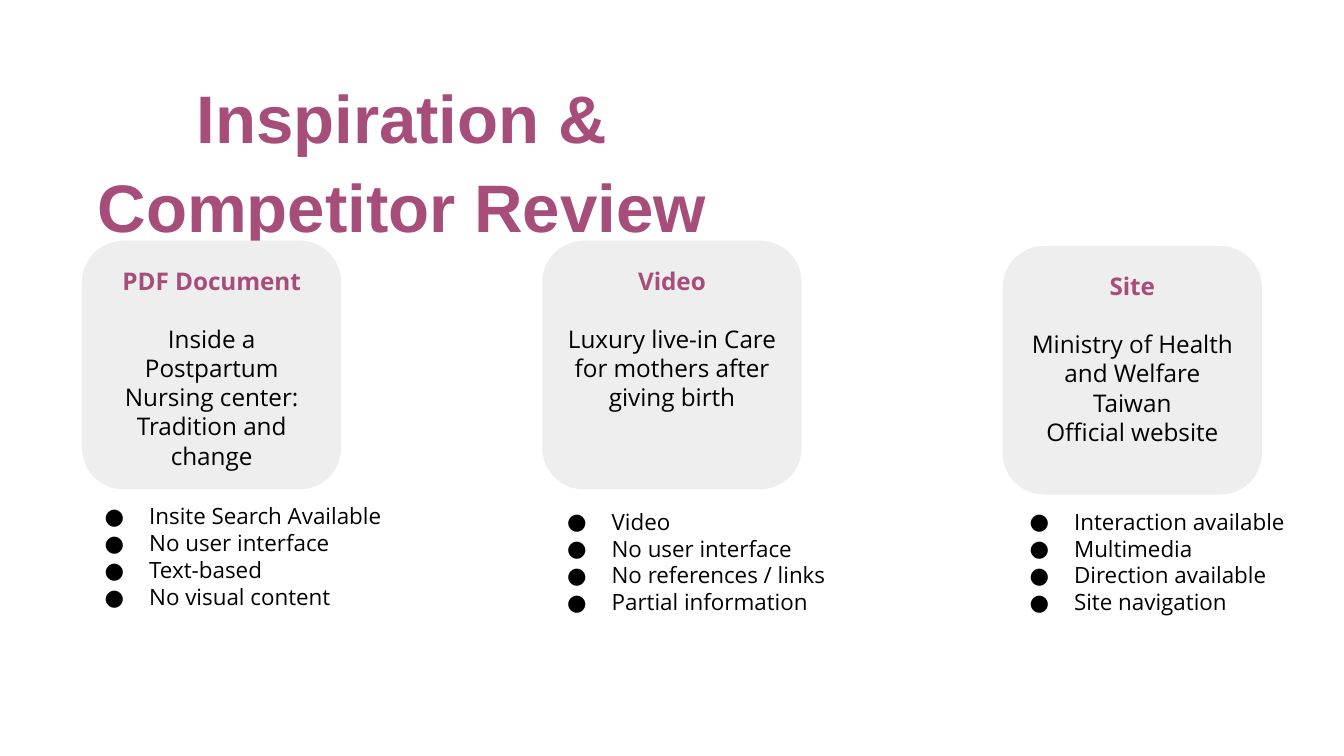
from lxml.etree import SubElement
from pptx import Presentation
from pptx.dml.color import RGBColor
from pptx.enum.shapes import MSO_SHAPE
from pptx.enum.text import MSO_ANCHOR, PP_ALIGN
from pptx.oxml.ns import qn
from pptx.util import Cm, Pt

PLUM, BLACK, PALE = "A64D79", "000000", "EEEEEE"
BODY_FONT = "Open Sans"

# Heading, description paragraphs, bullet points, card top, list top (cm)
COLUMNS = [
    ("PDF Document",
     ["Inside a Postpartum Nursing center: Tradition and change"],
     ["Insite Search Available", "No user interface", "Text-based", "No visual content"],
     4.55, 9.25),
    ("Video",
     ["Luxury live-in Care for mothers after giving birth"],
     ["Video", "No user interface", "No references / links", "Partial information"],
     4.55, 9.35),
    ("Site",
     ["Ministry of Health and Welfare Taiwan", "Official website"],
     ["Interaction available", "Multimedia", "Direction available", "Site navigation"],
     4.65, 9.35),
]
CARD_LEFT, CARD_PITCH = 1.55, 8.7
LIST_LEFT, LIST_PITCH = 1.3, 8.74


def color(hex_code):
    return RGBColor.from_string(hex_code)


def prepare_frame(shape):
    frame = shape.text_frame
    frame.word_wrap = True
    frame.vertical_anchor = MSO_ANCHOR.TOP
    frame.margin_left = frame.margin_right = Cm(0.25)
    frame.margin_top = frame.margin_bottom = Cm(0.25)
    return frame


def next_paragraph(frame, index):
    return frame.add_paragraph() if index else frame.paragraphs[0]


def add_run(paragraph, text, size, hex_code, font=BODY_FONT, bold=False):
    run = paragraph.add_run()
    run.text = text
    run.font.name = font
    run.font.size = Pt(size)
    run.font.bold = bold
    run.font.color.rgb = color(hex_code)


def add_bullet(paragraph):
    properties = paragraph._p.get_or_add_pPr()
    properties.set("marL", str(Cm(1.27)))
    properties.set("indent", str(-Cm(0.84)))
    bullet_color = SubElement(properties, qn("a:buClr"))
    SubElement(bullet_color, qn("a:srgbClr"), val=BLACK)
    SubElement(properties, qn("a:buFont"), typeface=BODY_FONT)
    SubElement(properties, qn("a:buChar"), char="●")


def add_title(slide, left, top, width, height):
    box = slide.shapes.add_textbox(Cm(left), Cm(top), Cm(width), Cm(height))
    paragraph = prepare_frame(box).paragraphs[0]
    paragraph.alignment = PP_ALIGN.CENTER
    paragraph.line_spacing = 1.1
    add_run(paragraph, "Inspiration & Competitor Review", 36, PLUM, "Arial", True)


def add_card(slide, heading, description, left, top, width, height):
    card = slide.shapes.add_shape(
        MSO_SHAPE.ROUNDED_RECTANGLE, Cm(left), Cm(top), Cm(width), Cm(height))
    card.shadow.inherit = False
    card.fill.solid()
    card.fill.fore_color.rgb = color(PALE)
    card.line.fill.background()
    frame = prepare_frame(card)
    for index, text in enumerate([heading, *description]):
        paragraph = next_paragraph(frame, index)
        paragraph.alignment = PP_ALIGN.CENTER
        is_heading = index == 0
        if is_heading:
            paragraph.space_after = Pt(15.6)
        add_run(paragraph, text, 13, PLUM if is_heading else BLACK, bold=is_heading)


def add_points(slide, points, left, top, width, height):
    box = slide.shapes.add_textbox(Cm(left), Cm(top), Cm(width), Cm(height))
    frame = prepare_frame(box)
    for index, point in enumerate(points):
        paragraph = next_paragraph(frame, index)
        add_bullet(paragraph)
        add_run(paragraph, point, 12, BLACK)


def main():
    deck = Presentation()
    deck.slide_width, deck.slide_height = Cm(25.4), Cm(14.29)
    slide = deck.slides.add_slide(deck.slide_layouts[6])

    # Title
    add_title(slide, 0.61, 1.04, 13.97, 2.03)

    # One card with its bullet list per reviewed source
    for index, (heading, description, points, card_top, list_top) in enumerate(COLUMNS):
        add_card(slide, heading, description,
                 CARD_LEFT + index * CARD_PITCH, card_top, 4.9, 4.7)
        add_points(slide, points,
                   LIST_LEFT + index * LIST_PITCH, list_top, 6.5, 5.08)

    deck.save("out.pptx")


if __name__ == "__main__":
    main()
